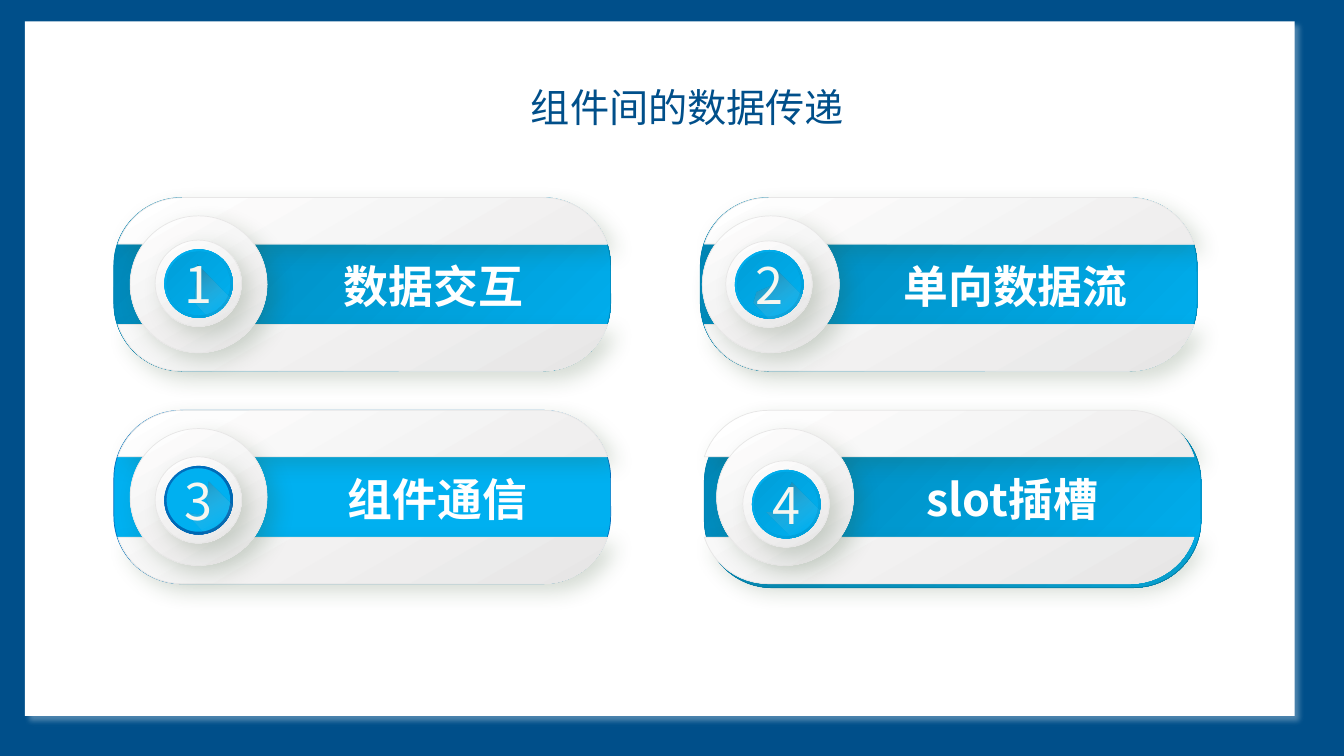
from lxml import etree
from pptx import Presentation
from pptx.dml.color import RGBColor
from pptx.enum.shapes import MSO_SHAPE
from pptx.enum.text import MSO_ANCHOR, PP_ALIGN
from pptx.oxml.ns import qn
from pptx.util import Cm, Pt

RECT = MSO_SHAPE.RECTANGLE
ROUND = MSO_SHAPE.ROUNDED_RECTANGLE
OVAL = MSO_SHAPE.OVAL
MIDDLE = MSO_ANCHOR.MIDDLE
CENTER = PP_ALIGN.CENTER

SANS = "Noto Sans CJK SC"
NAVY, WHITE, IVORY = "004F8A", "FFFFFF", "F6F6F0"
SILVER = ("FFFFFF", "E7E6E6")
BLUE = ("0084B4", "00B0F0")
RIM = ("00B0F0", "009ED8")
FACE = ("009ED8", "00B0F0")
SOFT = ("32522C", 20, 15, 8)

CARD_W, CARD_H = 12.52, 4.37
RING, KNOB = 3.45, 2.18

CARDS = [
    dict(num="1", label="数据交互", ring=0.41, knob=(1.04, 1.07), text=(3.68, 8.76),
         fold=[(1.07, 0.63), (0.99, 1.57), (1.55, 2.18), (2.08, 1.65)]),
    dict(num="2", label="单向数据流", ring=0.05, knob=(0.64, 1.09), text=(2.51, 10.87),
         fold=[(1.3, 0.76), (1.27, 1.09), (0.79, 1.3), (0.71, 1.57),
               (1.4, 2.29), (2.11, 1.57)]),
    dict(num="3", label="组件通信", ring=0.41, knob=(1.04, 1.17), text=(3.86, 8.59),
         base=("00B0F0",), edge="0070C0", rim=("0070C0", "0065AD"), face=("00B0F0",),
         fold=[(1.35, 0.63), (1.32, 0.94), (1.27, 1.02), (1.35, 1.22), (1.32, 1.4),
               (1.07, 1.45), (0.76, 1.4), (1.4, 2.08), (2.11, 1.37)]),
    dict(num="4", label="slot插槽", ring=0.41, knob=(1.07, 1.27), text=(3.1, 9.53),
         shift=0.1,
         fold=[(1.24, 0.56), (1.19, 0.66), (1.19, 1.27), (0.61, 1.3),
               (1.35, 2.03), (2.03, 1.35)]),
]


def color(code):
    return RGBColor.from_string(code)


def paint(shape, fills, angle=45, edge=None, width=0.5):
    shape.shadow.inherit = False
    if len(fills) == 1:
        shape.fill.solid()
        shape.fill.fore_color.rgb = color(fills[0])
    else:
        shape.fill.gradient()
        shape.fill.gradient_angle = 360 - angle
        for stop, code in zip(shape.fill.gradient_stops, fills):
            stop.color.rgb = color(code)
    if edge:
        shape.line.color.rgb = color(edge)
        shape.line.width = Pt(width)
    else:
        shape.line.fill.background()


def shade(shape, code, alpha, blur, dist):
    effects = shape._element.spPr.find(qn("a:effectLst"))
    outer = etree.SubElement(effects, qn("a:outerShdw"), blurRad=str(Pt(blur)),
                             dist=str(Pt(dist)), dir="2700000", algn="tl", rotWithShape="0")
    tint = etree.SubElement(outer, qn("a:srgbClr"), val=code)
    etree.SubElement(tint, qn("a:alpha"), val=str(alpha * 1000))


def place(slide, kind, x, y, w, h):
    return slide.shapes.add_shape(kind, Cm(x), Cm(y), Cm(w), Cm(h))


def disc(slide, x, y, size, fills, angle=45, edge=None):
    shape = place(slide, OVAL, x, y, size, size)
    paint(shape, fills, angle, edge)
    return shape


def outline(slide, x, y, loops):
    start, *rest = [[(Cm(x + a), Cm(y + b)) for a, b in loop] for loop in loops]
    form = slide.shapes.build_freeform(*start[0], scale=1.0)
    form.add_line_segments(start[1:], close=True)
    for loop in rest:
        form.move_to(*loop[0])
        form.add_line_segments(loop[1:], close=True)
    return form.convert_to_shape()


def write(shape, text, size, code, name=SANS, bold=False, inset=(0, 0)):
    frame = shape.text_frame
    frame.word_wrap = True
    frame.vertical_anchor = MIDDLE
    frame.margin_left = frame.margin_right = Cm(inset[0])
    frame.margin_top = frame.margin_bottom = Cm(inset[1])
    para = frame.paragraphs[0]
    para.text = text
    para.alignment = CENTER
    font = para.font
    font.size, font.bold, font.name = Pt(size), bold, name
    font.color.rgb = color(code)
    props = para._p.pPr.find(qn("a:defRPr"))
    etree.SubElement(props, qn("a:ea"), typeface=name)


def label(slide, x, y, w, h, text, size, code, **style):
    box = slide.shapes.add_textbox(Cm(x), Cm(y), Cm(w), Cm(h))
    write(box, text, size, code, **style)


def curve(points, steps=12):
    a, b, c, d = points
    for i in range(steps + 1):
        t = i / steps
        s = 1 - t
        yield tuple(s**3 * a[k] + 3 * s * s * t * b[k] + 3 * s * t * t * c[k] + t**3 * d[k]
                    for k in (0, 1))


def caps(slide, x, y, w, h):
    left = list(curve([(0, 1.17), (0.23, 0.48), (0.86, 0), (1.63, 0)]))
    top = left + [(w - a, b) for a, b in reversed(left)]
    bottom = [(a, h - b) for a, b in top]
    shape = outline(slide, x, y, [bottom, top])
    paint(shape, SILVER, 60, SILVER[1])
    shade(shape, *SOFT)


def crease(slide, x, y, points):
    shape = outline(slide, x, y, [points])
    paint(shape, ("3F3F3F", "FFFFFF"), 60)
    shape.fill.gradient_stops[1].position = 0.76
    tints = shape._element.spPr.iter(qn("a:srgbClr"))
    for tint, alpha in zip(list(tints), ("40000", "0")):
        etree.SubElement(tint, qn("a:alpha"), val=alpha)


def badge(slide, x, y, card):
    shade(disc(slide, x, y, KNOB, SILVER, 60, SILVER[1]), *SOFT)
    disc(slide, x + 0.23, y + 0.23, 1.73, card.get("rim", RIM))
    disc(slide, x + 0.29, y + 0.29, 1.6, card.get("face", FACE))
    crease(slide, x, y, card["fold"])
    label(slide, x, y, KNOB, KNOB, card["num"], 36, IVORY)


def panel(slide, x, y, card):
    shift = card.get("shift", 0)
    base = place(slide, ROUND, x + shift, y + shift, CARD_W, CARD_H)
    base.adjustments[0] = 0.39
    paint(base, card.get("base", BLUE), 45, card.get("edge", BLUE[0]))
    caps(slide, x + 0.1, y, 12.34, CARD_H)
    shade(disc(slide, x + card["ring"], y + 0.46, RING, SILVER, 60, SILVER[1]), *SOFT)
    dx, dy = card["knob"]
    badge(slide, x + dx, y + dy, card)
    left, width = card["text"]
    label(slide, x + left, y + 1.4, width, 1.65, card["label"], 32, WHITE,
          bold=True, inset=(0.33, 0.18))


def page(slide, x, y, w, h):
    slide.background.fill.solid()
    slide.background.fill.fore_color.rgb = color(NAVY)
    sheet = place(slide, RECT, x, y, w, h)
    paint(sheet, (WHITE,))
    shade(sheet, WHITE, 30, 4, 5)


def title(slide, x, y, w, h):
    box = place(slide, RECT, x, y, w, h)
    paint(box, (WHITE,), edge=WHITE, width=1)
    write(box, "组件间的数据传递", 28, NAVY, name="Noto Sans CJK JP", inset=(0.25, 0.13))


def main():
    deck = Presentation()
    deck.slide_width, deck.slide_height = Cm(33.87), Cm(19.05)
    slide = deck.slides.add_slide(deck.slide_layouts[6])
    page(slide, 0.63, 0.54, 32, 17.5)
    for i, card in enumerate(CARDS):
        row, col = divmod(i, 2)
        panel(slide, 2.87 + col * 14.78, 4.98 + row * 5.36, card)
    title(slide, 9.73, 1.98, 15.19, 1.45)
    deck.save("out.pptx")


if __name__ == "__main__":
    main()
